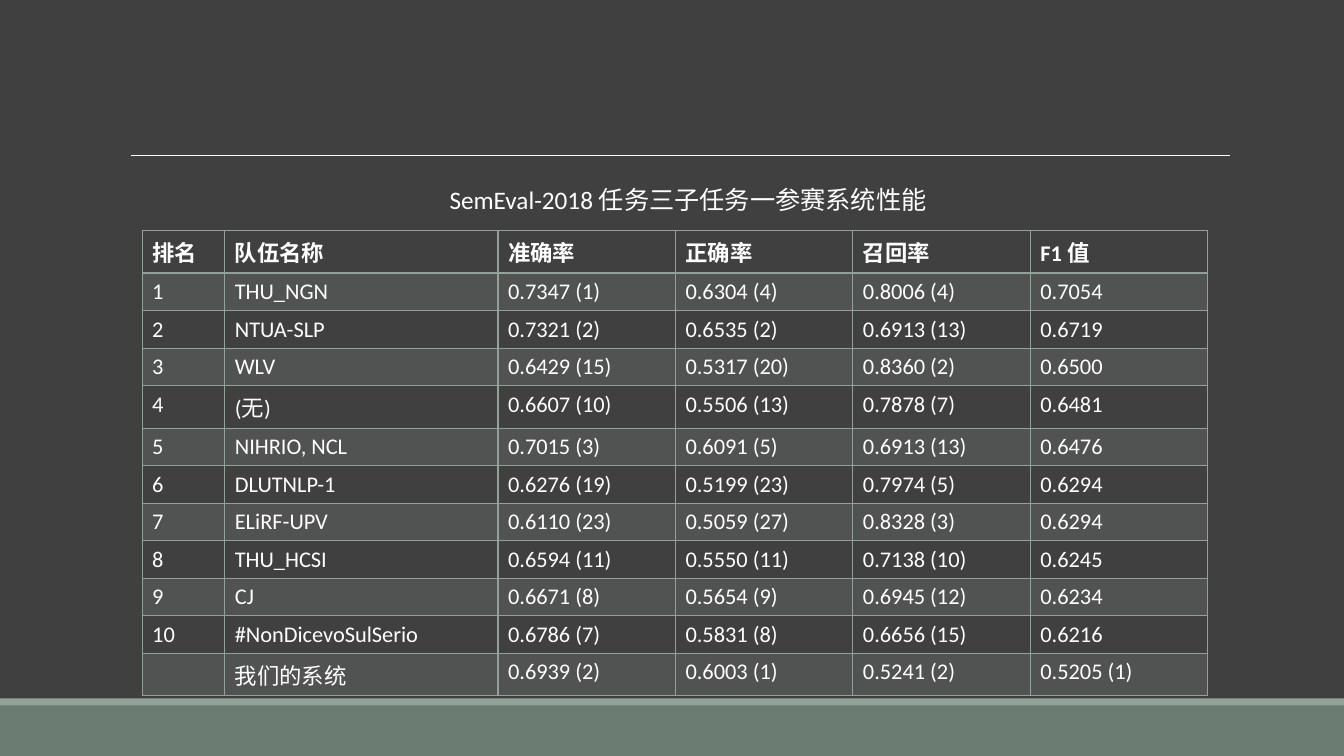
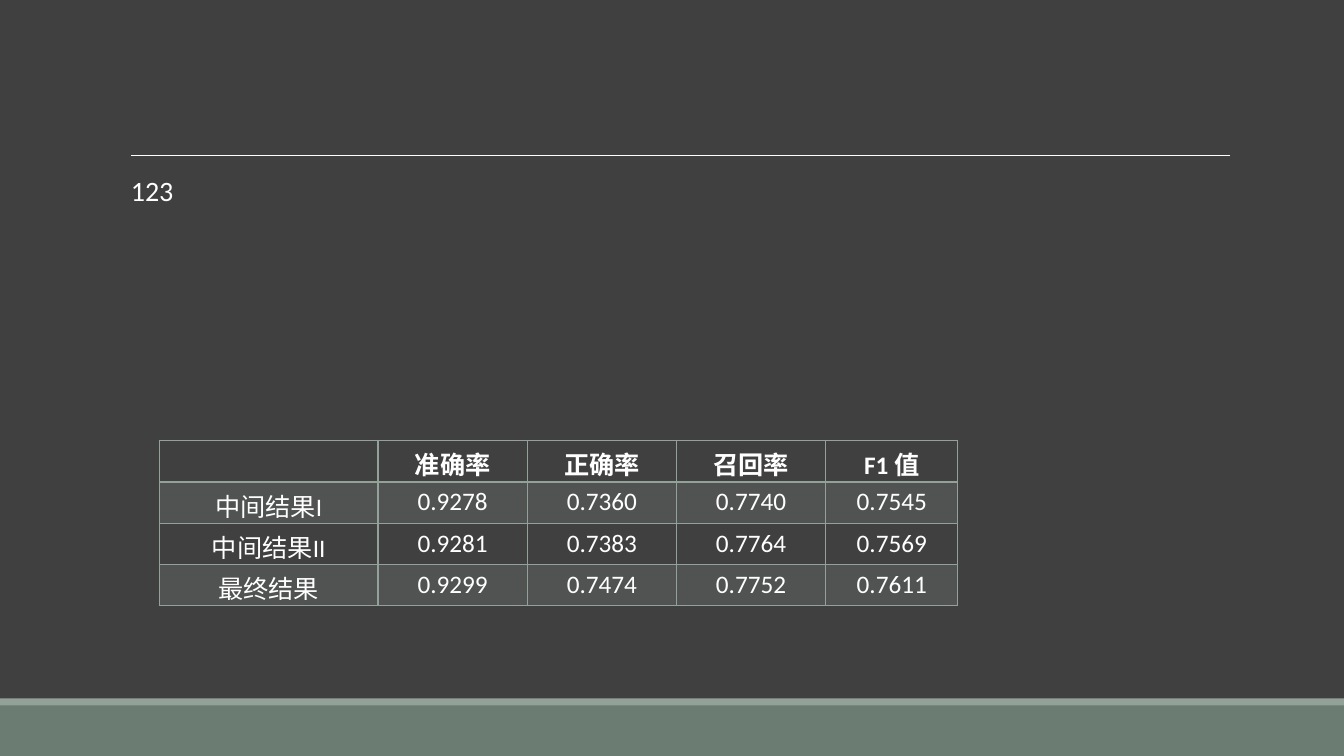
from dataclasses import dataclass

from lxml import etree
from pptx import Presentation
from pptx.dml.color import RGBColor
from pptx.enum.shapes import MSO_CONNECTOR, MSO_SHAPE
from pptx.enum.text import MSO_AUTO_SIZE, PP_ALIGN
from pptx.oxml.ns import qn
from pptx.util import Inches, Pt

RECTANGLE = MSO_SHAPE.RECTANGLE
STRAIGHT = MSO_CONNECTOR.STRAIGHT
GROW = MSO_AUTO_SIZE.SHAPE_TO_FIT_TEXT
LEFT, CENTER = PP_ALIGN.LEFT, PP_ALIGN.CENTER


@dataclass(frozen=True)
class Theme:
    background: str = "404040"
    band: str = "6B7D72"
    accent: str = "93A299"
    text: str = "FFFFFF"
    latin: str = "Calibri"
    east_asian: str = "Noto Sans CJK SC"
    body_size: int = 20
    large_size: int = 18
    small_size: int = 16
    stripe_opacity: int = 20
    border: int = 1
    header_border: int = 2
    rule: float = 0.5


THEME = Theme()
SLIDE_WIDTH, SLIDE_HEIGHT = 13.33, 7.5
BANDS = [(7, 0.5, THEME.band), (6.93, 0.07, THEME.accent)]

RANKING_CAPTION = ["SemEval-2018 ", "任务三子任务一参赛系统性能"]
RANKING = {
    "at": (1.41, 2.29),
    "columns": [0.82, 2.71] + [1.76] * 4,
    "row_height": 0.37,
    "size": THEME.small_size,
    "align": LEFT,
    "rows": [
        ("排名", "队伍名称", "准确率", "正确率", "召回率", "F1 值"),
        ("1", "THU_NGN", "0.7347 (1)", "0.6304 (4)", "0.8006 (4)", "0.7054"),
        ("2", "NTUA-SLP", "0.7321 (2)", "0.6535 (2)", "0.6913 (13)", "0.6719"),
        ("3", "WLV", "0.6429 (15)", "0.5317 (20)", "0.8360 (2)", "0.6500"),
        ("4", "(无)", "0.6607 (10)", "0.5506 (13)", "0.7878 (7)", "0.6481"),
        ("5", "NIHRIO, NCL", "0.7015 (3)", "0.6091 (5)", "0.6913 (13)", "0.6476"),
        ("6", "DLUTNLP-1", "0.6276 (19)", "0.5199 (23)", "0.7974 (5)", "0.6294"),
        ("7", "ELiRF-UPV", "0.6110 (23)", "0.5059 (27)", "0.8328 (3)", "0.6294"),
        ("8", "THU_HCSI", "0.6594 (11)", "0.5550 (11)", "0.7138 (10)", "0.6245"),
        ("9", "CJ", "0.6671 (8)", "0.5654 (9)", "0.6945 (12)", "0.6234"),
        ("10", "#NonDicevoSulSerio", "0.6786 (7)", "0.5831 (8)", "0.6656 (15)", "0.6216"),
        ("", "我们的系统", "0.6939 (2)", "0.6003 (1)", "0.5241 (2)", "0.5205 (1)"),
    ],
}

RESULTS_BODY = ["123"]
RESULTS = {
    "at": (1.58, 4.37),
    "columns": [2.17, 1.48, 1.48, 1.48, 1.31],
    "row_height": 0.41,
    "size": THEME.large_size,
    "align": CENTER,
    "rows": [
        ("", "准确率", "正确率", "召回率", "F1 值"),
        ("中间结果I", "0.9278", "0.7360", "0.7740", "0.7545"),
        ("中间结果II", "0.9281", "0.7383", "0.7764", "0.7569"),
        ("最终结果", "0.9299", "0.7474", "0.7752", "0.7611"),
    ],
}


def color(value):
    return RGBColor.from_string(value)


def style_span(span, size, bold=False):
    span.font.size = Pt(size)
    span.font.bold = bold
    span.font.name = THEME.latin
    span.font.color.rgb = color(THEME.text)
    east_asian = etree.Element(qn("a:ea"), typeface=THEME.east_asian)
    span.font._element.find(qn("a:latin")).addnext(east_asian)


def add_text(slide, at, spans, size):
    box = slide.shapes.add_textbox(*map(Inches, at))
    para = box.text_frame.paragraphs[0]
    for text in spans:
        span = para.add_run()
        span.text = text
        style_span(span, size)
    return box.text_frame


def set_borders(cell, top, bottom):
    properties = cell._tc.get_or_add_tcPr()
    widths = {"L": THEME.border, "R": THEME.border, "T": top, "B": bottom}
    for index, (side, width) in enumerate(widths.items()):
        line = etree.Element(qn(f"a:ln{side}"), w=str(Pt(width)))
        fill = etree.SubElement(line, qn("a:solidFill"))
        etree.SubElement(fill, qn("a:srgbClr"), val=THEME.accent)
        properties.insert(index, line)


def fill_cell(cell, striped):
    if not striped:
        cell.fill.background()
        return
    cell.fill.solid()
    cell.fill.fore_color.rgb = color(THEME.accent)
    tint = cell._tc.tcPr.find(f".//{qn('a:srgbClr')}")
    etree.SubElement(tint, qn("a:alpha"), val=str(THEME.stripe_opacity * 1000))


def add_score_table(slide, content):
    rows, columns = content["rows"], content["columns"]
    height = content["row_height"]
    extent = (*content["at"], sum(columns), height * len(rows))
    table = slide.shapes.add_table(len(rows), len(columns), *map(Inches, extent)).table
    table.horz_banding = False
    table.first_row = False
    for column, width in zip(table.columns, columns):
        column.width = Inches(width)
    for number, texts in enumerate(rows):
        table.rows[number].height = Inches(height)
        top = THEME.header_border if number == 1 else THEME.border
        bottom = THEME.header_border if number == 0 else THEME.border
        for cell, text in zip(table.rows[number].cells, texts):
            cell.text = text
            para = cell.text_frame.paragraphs[0]
            para.alignment = content["align"]
            for span in para.runs:
                style_span(span, content["size"], bold=number == 0)
            fill_cell(cell, number % 2 == 1)
            set_borders(cell, top, bottom)


def add_base_slide(deck):
    slide = deck.slides.add_slide(deck.slide_layouts[6])
    for top, height, fill in BANDS:
        band = slide.shapes.add_shape(
            RECTANGLE, 0, Inches(top), Inches(SLIDE_WIDTH), Inches(height))
        band.shadow.inherit = False
        band.fill.solid()
        band.fill.fore_color.rgb = color(fill)
        band.line.fill.background()
    rule = slide.shapes.add_connector(STRAIGHT, *map(Inches, (1.3, 1.54, 12.2, 1.54)))
    rule.line.color.rgb = color(THEME.text)
    rule.line.width = Pt(THEME.rule)
    etree.SubElement(rule._element.spPr, qn("a:effectLst"))
    return slide


def build_ranking(deck):
    slide = add_base_slide(deck)
    add_score_table(slide, RANKING)
    frame = add_text(slide, (4.36, 1.78, 5.12, 0.4), RANKING_CAPTION, THEME.large_size)
    frame.word_wrap = False
    frame.auto_size = GROW


def build_results(deck):
    slide = add_base_slide(deck)
    frame = add_text(slide, (1.2, 1.71, 11, 4.71), RESULTS_BODY, THEME.body_size)
    frame.word_wrap = True
    frame.margin_right = 0
    frame.paragraphs[0].line_spacing = 0.9
    add_score_table(slide, RESULTS)


def main():
    deck = Presentation()
    deck.slide_width, deck.slide_height = Inches(SLIDE_WIDTH), Inches(SLIDE_HEIGHT)
    background = deck.slide_master.background.fill
    background.solid()
    background.fore_color.rgb = color(THEME.background)
    build_ranking(deck)
    build_results(deck)
    deck.save("out.pptx")


if __name__ == "__main__":
    main()
